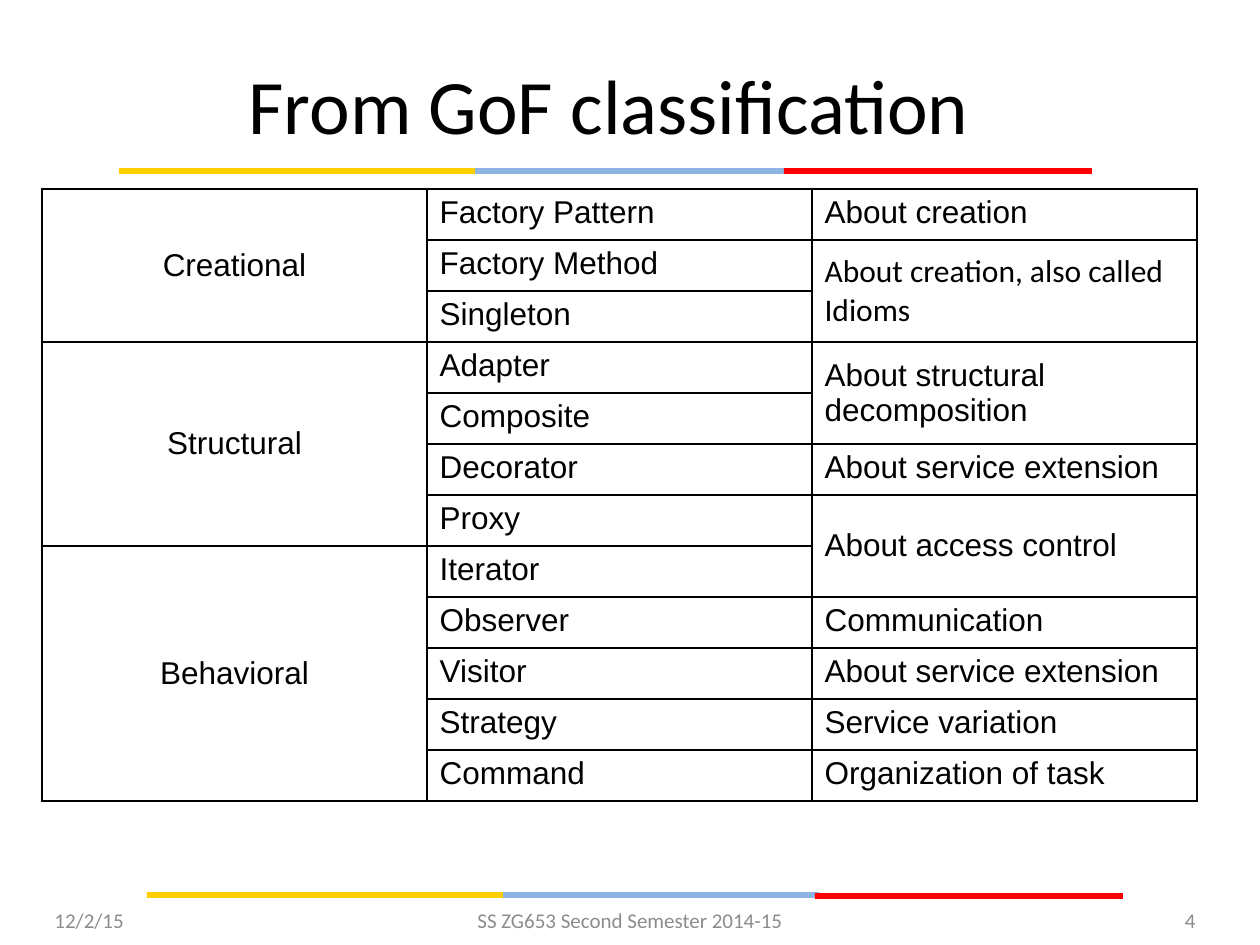
import pptx
import pptx.util
import pptx.dml.color
import pptx.enum.shapes
import pptx.enum.text
import pptx.oxml
import pptx.oxml.ns

RGB = pptx.dml.color.RGBColor
ALIGN = pptx.enum.text.PP_ALIGN
ANCHOR = pptx.enum.text.MSO_ANCHOR
BLACK = RGB(0x00, 0x00, 0x00)
GREY = RGB(0x8C, 0x8C, 0x8C)
BLUE = RGB(0x8E, 0xB4, 0xE3)
RED = RGB(0xFF, 0x00, 0x00)
YELLOW = RGB(0xFF, 0xCE, 0x00)
PX = 914400 / 126

TITLE = "From GoF classification"
KINDS = [("Creational", 3), ("Structural", 4), ("Behavioral", 5)]
PATTERNS = ["Factory Pattern", "Factory Method", "Singleton", "Adapter",
            "Composite", "Decorator", "Proxy", "Iterator", "Observer",
            "Visitor", "Strategy", "Command"]
PURPOSES = [("About creation", 1), ("About creation, also called Idioms", 2),
            ("About structural decomposition", 2),
            ("About service extension", 1), ("About access control", 2),
            ("Communication", 1), ("About service extension", 1),
            ("Service variation", 1), ("Organization of task", 1)]
CALIBRI_CELLS = {"About creation, also called Idioms"}
COLUMNS = [KINDS, [(name, 1) for name in PATTERNS], PURPOSES]

BARS = [
    (470, 168, 321, BLUE), (784, 168, 308, RED), (119, 168, 356, YELLOW),
    (498, 892, 321, BLUE), (815, 893, 308, RED), (147, 892, 356, YELLOW),
]
BAR_HEIGHT = 6
FOOTERS = [
    ("12/2/15", 42, 294, ALIGN.LEFT),
    ("SS ZG653 Second Semester 2014-15", 430, 400, ALIGN.CENTER),
    ("4", 914, 294, ALIGN.RIGHT),
]
TABLE_LEFT, TABLE_TOP, COLUMN_WIDTH, ROW_HEIGHT = 42, 189, 385, 51


def emu(*lengths):
    return [pptx.util.Emu(round(length * PX)) for length in lengths]


def write(frame, text, align, size, name, color):
    para = frame.paragraphs[0]
    para.alignment = align
    span = para.add_run()
    span.text = text
    look = {"size": pptx.util.Pt(size), "name": name, "bold": False}
    for key, value in look.items():
        setattr(span.font, key, value)
    span.font.color.rgb = color


def add_borders(cell):
    properties = cell._tc.get_or_add_tcPr()
    for side in ("lnL", "lnR", "lnT", "lnB"):
        properties.append(pptx.oxml.parse_xml(
            f'<a:{side} {pptx.oxml.ns.nsdecls("a")} w="12700"><a:solidFill>'
            f'<a:srgbClr val="{BLACK}"/></a:solidFill></a:{side}>'))


def add_bars(page):
    for left, top, width, color in BARS:
        bar = page.shapes.add_shape(
            pptx.enum.shapes.MSO_SHAPE.RECTANGLE,
            *emu(left, top, width, BAR_HEIGHT))
        bar.shadow.inherit = False
        bar.fill.solid()
        bar.fill.fore_color.rgb = color
        bar.line.fill.background()


def add_title(page):
    title = page.shapes.title
    places = emu(42, 39, 1134, 130)
    for key, value in zip(("left", "top", "width", "height"), places):
        setattr(title, key, value)
    title.text_frame.vertical_anchor = ANCHOR.MIDDLE
    write(title.text_frame, TITLE, ALIGN.CENTER, 44, "Calibri", BLACK)


def add_pattern_table(page):
    rows, columns = len(PATTERNS), len(COLUMNS)
    table = page.shapes.add_table(
        rows, columns, *emu(TABLE_LEFT, TABLE_TOP, columns * COLUMN_WIDTH,
                            rows * ROW_HEIGHT)).table
    table.first_row = table.horz_banding = False
    for column in table.columns:
        column.width, = emu(COLUMN_WIDTH)
    for row in table.rows:
        row.height, = emu(ROW_HEIGHT)
    for cell in table.iter_cells():
        add_borders(cell)
        cell.fill.background()
    for column, entries in enumerate(COLUMNS):
        align = ALIGN.LEFT if column else ALIGN.CENTER
        row = 0
        for text, count in entries:
            cell = table.cell(row, column)
            if count > 1:
                cell.merge(table.cell(row + count - 1, column))
                cell.vertical_anchor = ANCHOR.MIDDLE
            font = "Calibri" if text in CALIBRI_CELLS else "Arial"
            write(cell.text_frame, text, align, 18, font, BLACK)
            row += count


def add_footers(page):
    for text, left, width, align in FOOTERS:
        box = page.shapes.add_textbox(*emu(left, 895, width, 50))
        box.text_frame.word_wrap = True
        box.text_frame.vertical_anchor = ANCHOR.MIDDLE
        write(box.text_frame, text, align, 12, "Calibri", GREY)


def main():
    deck = pptx.Presentation()
    deck.slide_width, deck.slide_height = emu(1260, 945)
    page = deck.slides.add_slide(deck.slide_layouts[5])
    add_bars(page)
    add_title(page)
    add_pattern_table(page)
    add_footers(page)
    deck.save("out.pptx")


if __name__ == "__main__":
    main()
